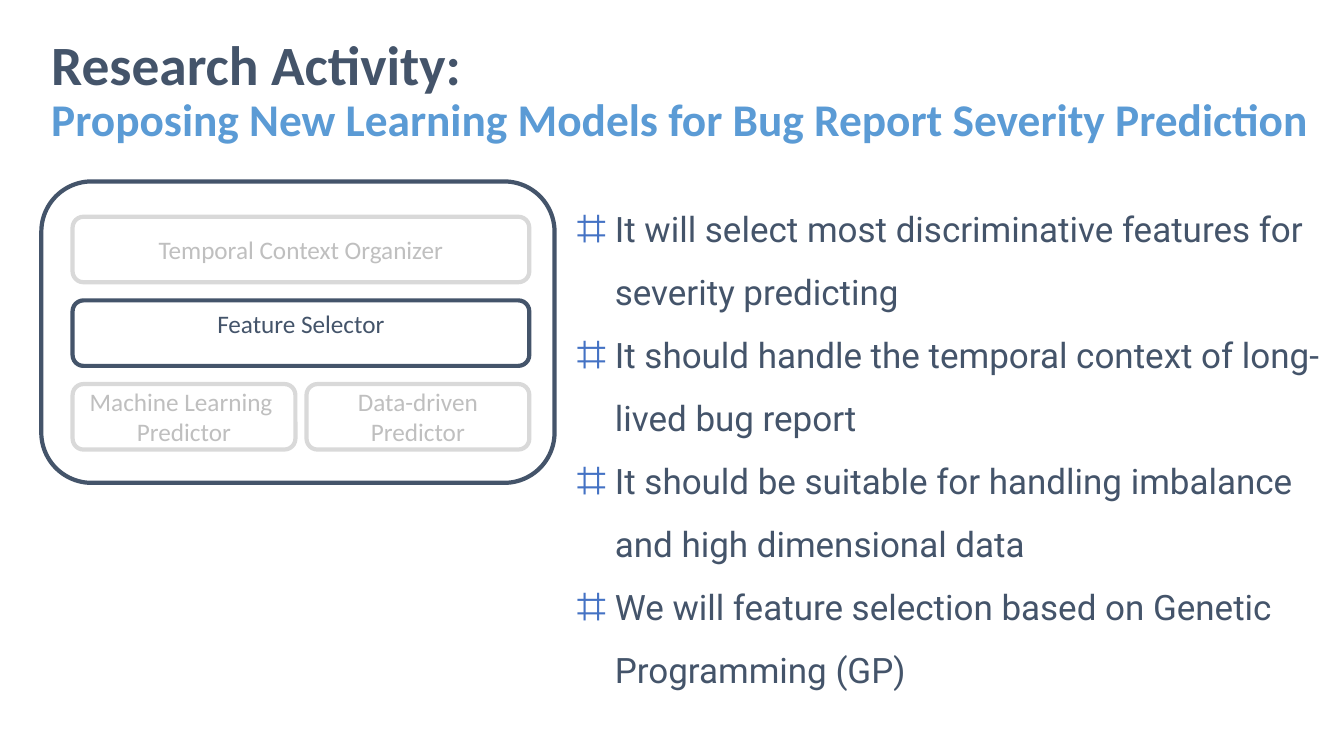
import pptx
import pptx.util
import pptx.dml.color
import pptx.enum.shapes
import pptx.enum.text
import pptx.oxml.ns
import lxml.etree

Inches = pptx.util.Inches
Pt = pptx.util.Pt
ALIGN = pptx.enum.text.PP_ALIGN
ANCHOR = pptx.enum.text.MSO_ANCHOR
NAVY, BLUE, GREY, PALE = "44546A", "5B9BD5", "BFBFBF", "D9D9D9"


def rgb(value):
    return pptx.dml.color.RGBColor.from_string(value)


def add_run(p, text, color, **formats):
    r = p.add_run()
    r.text = text
    r.font.color.rgb = rgb(color)
    for name, value in formats.items():
        setattr(r.font, name, value)


prs = pptx.Presentation()
prs.slide_width, prs.slide_height = Inches(13.33), Inches(7.5)
s = prs.slides.add_slide(prs.slide_layouts[6])

requirements = [
    "It will select most discriminative features for severity predicting",
    "It should handle the temporal context of long-lived bug report",
    "It should be suitable for handling imbalance and high dimensional data",
    "We will feature selection based on Genetic Programming (GP)",
]
qn = pptx.oxml.ns.qn
tf = s.shapes.add_textbox(Inches(5.62), Inches(1.8), Inches(7.58), Inches(5.07)).text_frame
tf.word_wrap = True
for i, text in enumerate(requirements):
    p = tf.add_paragraph() if i else tf.paragraphs[0]
    p.line_spacing = 1.5
    add_run(p, text, NAVY, name="Roboto", size=Pt(25))
    pPr = p._p.get_or_add_pPr()
    pPr.set("marL", str(Inches(0.38)))
    pPr.set("indent", str(-Inches(0.38)))
    buClr = lxml.etree.SubElement(pPr, qn("a:buClr"))
    lxml.etree.SubElement(buClr, qn("a:srgbClr"), val="4472C4")
    lxml.etree.SubElement(pPr, qn("a:buSzPct"), val="150000")
    lxml.etree.SubElement(pPr, qn("a:buFont"), typeface="Roboto")
    lxml.etree.SubElement(pPr, qn("a:buChar"), char="⌗")

left, top, pitch, height = 0.72, 2.15, 0.83, 0.65
full, half = 4.53, 2.21
boxes = [
    (0.41, 1.8, 5.09, 2.99, [], NAVY, NAVY, ANCHOR.MIDDLE),
    (left, top, full, height, ["Temporal Context Organizer"], PALE, GREY, ANCHOR.MIDDLE),
    (left, top + pitch, full, height, ["Feature Selector"], NAVY, NAVY, ANCHOR.TOP),
    (left, top + 2 * pitch, half, height, ["Machine Learning ", "Predictor"], PALE, GREY, ANCHOR.MIDDLE),
    (left + full - half, top + 2 * pitch, half, height, ["Data-driven", "Predictor"], PALE, GREY, ANCHOR.MIDDLE),
]
for x, y, w, h, lines, line_color, text_color, anchor in boxes:
    sp = s.shapes.add_shape(pptx.enum.shapes.MSO_SHAPE.ROUNDED_RECTANGLE,
                            Inches(x), Inches(y), Inches(w), Inches(h))
    sp.shadow.inherit = False
    sp.fill.solid()
    sp.fill.fore_color.rgb = rgb("FFFFFF")
    sp.line.color.rgb = rgb(line_color)
    sp.line.width = Pt(3)
    tf = sp.text_frame
    tf.word_wrap = True
    tf.vertical_anchor = anchor
    for i, text in enumerate(lines):
        p = tf.add_paragraph() if i else tf.paragraphs[0]
        p.alignment = ALIGN.CENTER
        add_run(p, text, text_color, name="Calibri", size=Pt(18))

tf = s.shapes.add_textbox(Inches(0.41), Inches(0.4), Inches(12.77), Inches(1.02)).text_frame
tf.word_wrap = True
tf.vertical_anchor = ANCHOR.MIDDLE
p = tf.paragraphs[0]
p.line_spacing = 0.9
add_run(p, "Research Activity:", NAVY, name="Calibri", size=Pt(39.6), bold=True)
p.add_line_break()
add_run(p, "Proposing New Learning Models for Bug Report Severity Prediction", BLUE,
        name="Calibri", size=Pt(32.4), bold=True)

prs.save("out.pptx")
